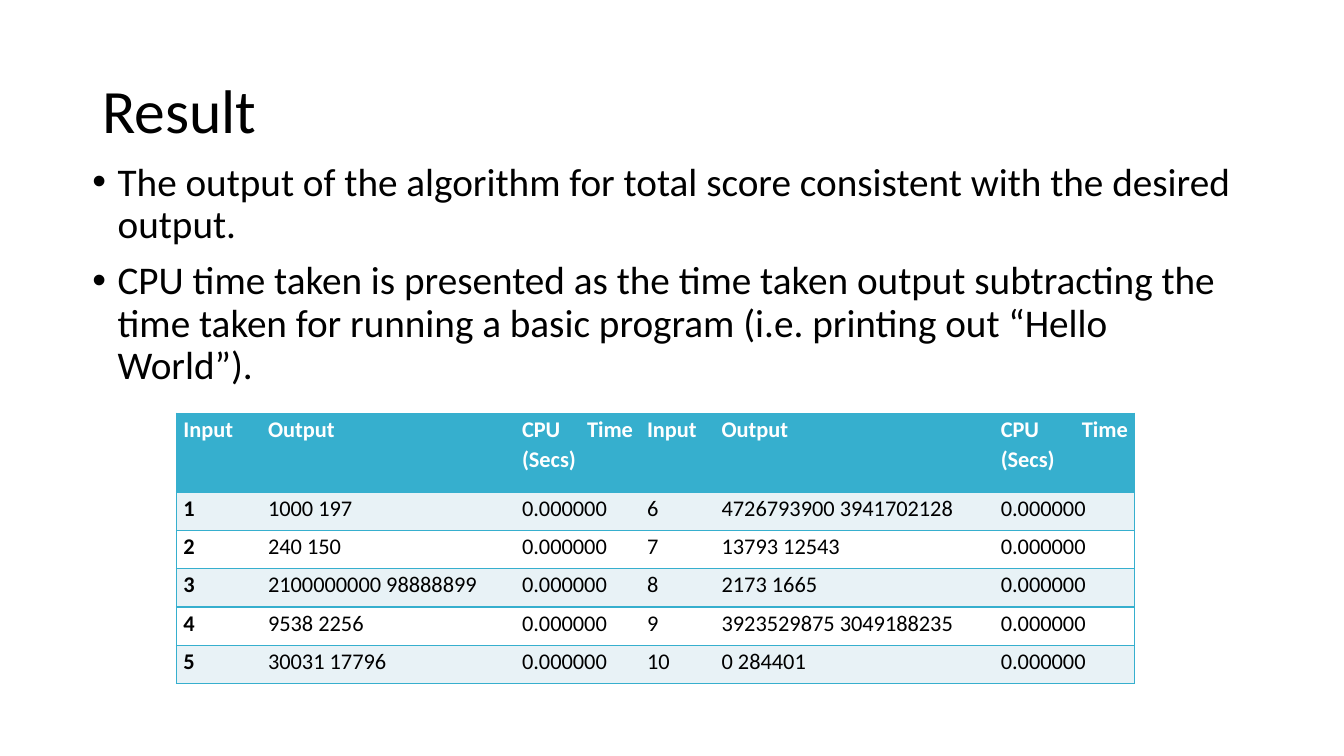
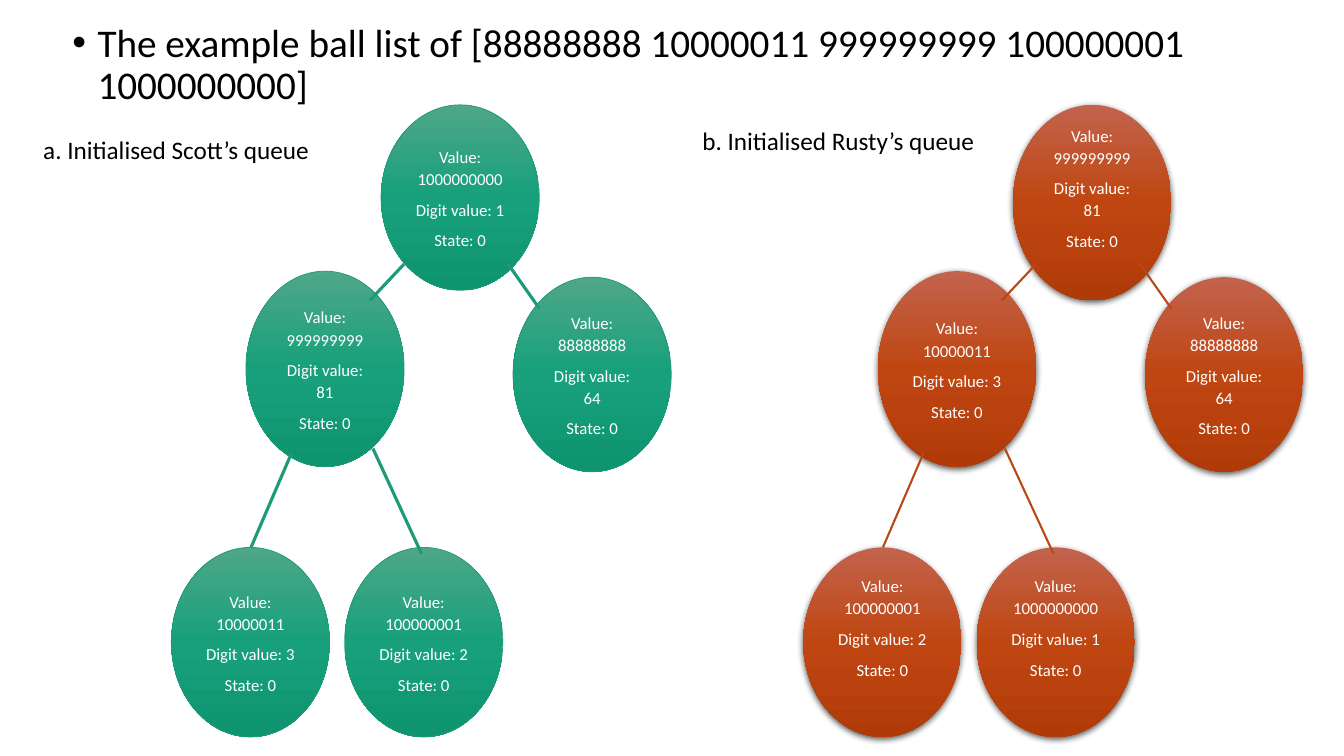
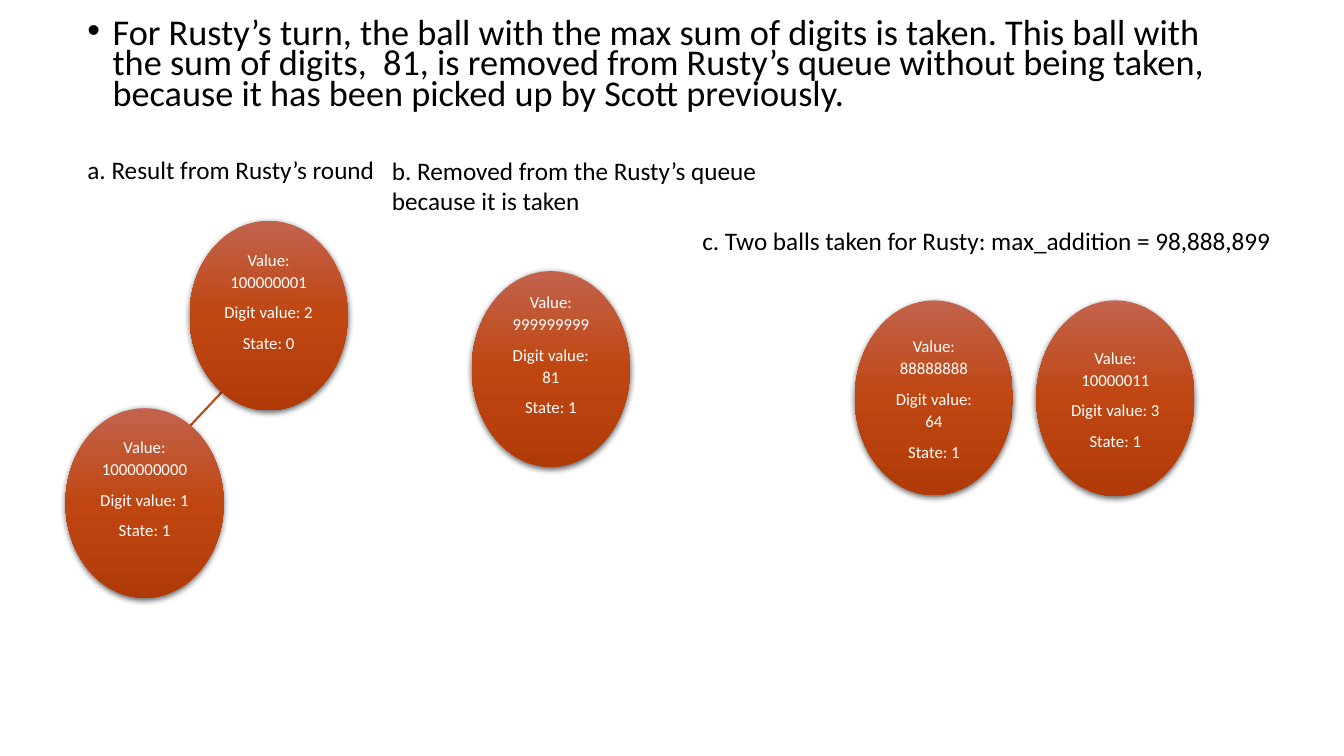
from dataclasses import dataclass, replace
from typing import Optional

import pptx
import pptx.dml.color
import pptx.enum.shapes
import pptx.enum.text
import pptx.oxml
import pptx.oxml.ns
import pptx.util

Pt = pptx.util.Pt
ALIGN = pptx.enum.text.PP_ALIGN
ANCHOR = pptx.enum.text.MSO_ANCHOR

FONT = "Calibri"
BLACK, WHITE = "000000", "FFFFFF"
TABLE_BLUE, TABLE_BAND = "36AFCE", "E8F2F6"
BALL_WIDTH = 113
RAISED_TEXT = 22  # extra bottom inset: one line with its spacing


@dataclass(frozen=True)
class TextStyle:
    size: float
    color: str = BLACK
    bold: bool = False
    align: ALIGN = ALIGN.LEFT
    line_spacing: float = 1.0
    before: float = 0
    after: float = 0
    bullet: bool = False


TITLE = TextStyle(44, line_spacing=0.9)
BODY = TextStyle(28, line_spacing=0.9, before=10, bullet=True)
TIGHT_BODY = replace(BODY, size=25.9, line_spacing=0.7)
CAPTION = TextStyle(18)
BALL_TEXT = TextStyle(12, WHITE, align=ALIGN.CENTER, line_spacing=1.1, after=6)
CELL = TextStyle(16, align=ALIGN.JUSTIFY, line_spacing=1.1)


@dataclass(frozen=True)
class Queue:
    """Look of one player's balls and the links between them."""
    gradient: tuple[str, str, str]
    link_color: str
    link_width: float
    outline: Optional[float]
    shadow: bool


SCOTT = Queue(("4EA788", "17A07B", "0F9470"), "1D9A78", 2.25, 0.5, False)
RUSTY = Queue(("C2634D", "BF4611", "B13B08"), "B74919", 1.5, None, True)


@dataclass(frozen=True)
class Ball:
    value: int
    left: float
    top: float
    height: float
    state: int = 0
    raised: bool = False

    @property
    def label(self) -> str:
        digit_sum = sum(int(digit) for digit in str(self.value))
        return f"Value: {self.value}\nDigit value: {digit_sum}\nState: {self.state}"


@dataclass(frozen=True)
class Link:
    x1: float
    y1: float
    x2: float
    y2: float


def rgb(color: str) -> pptx.dml.color.RGBColor:
    return pptx.dml.color.RGBColor.from_string(color)


def xml(tag: str, attributes: str = "", inner: str = ""):
    """Build one element of the drawing namespace."""
    namespace = pptx.oxml.ns.nsdecls("a")
    return pptx.oxml.parse_xml(f"<a:{tag} {namespace} {attributes}>{inner}</a:{tag}>")


def solid(color: str) -> str:
    return f'<a:solidFill><a:srgbClr val="{color}"/></a:solidFill>'


def write(frame, text: str, style: TextStyle) -> None:
    frame.text = text
    frame.word_wrap = True
    for paragraph in frame.paragraphs:
        paragraph.alignment = style.align
        paragraph.line_spacing = style.line_spacing
        paragraph.space_before = Pt(style.before)
        paragraph.space_after = Pt(style.after)
        if style.bullet:
            properties = paragraph._p.get_or_add_pPr()
            properties.set("marL", str(Pt(18)))
            properties.set("indent", str(Pt(-18)))
            properties.append(xml("buFont", 'typeface="Arial"'))
            properties.append(xml("buChar", 'char="•"'))
        for run in paragraph.runs:
            run.font.name = FONT
            run.font.size = Pt(style.size)
            run.font.bold = style.bold
            run.font.color.rgb = rgb(style.color)


def add_text(slide, text: str, style: TextStyle, left: float, top: float,
             width: float, height: float, anchor=ANCHOR.TOP) -> None:
    box = slide.shapes.add_textbox(Pt(left), Pt(top), Pt(width), Pt(height))
    write(box.text_frame, text, style)
    box.text_frame.vertical_anchor = anchor


def add_ball(slide, ball: Ball, queue: Queue, shift: float = 0) -> None:
    shape = slide.shapes.add_shape(
        pptx.enum.shapes.MSO_SHAPE.FLOWCHART_CONNECTOR,
        Pt(ball.left + shift), Pt(ball.top), Pt(BALL_WIDTH), Pt(ball.height))
    shape.fill.gradient()
    shape.fill.gradient_angle = 270
    properties = shape._element.spPr
    stops = properties.find(".//" + pptx.oxml.ns.qn("a:gsLst"))
    stops.clear()
    for position, color in zip((0, 50000, 100000), queue.gradient):
        stops.append(xml("gs", f'pos="{position}"', f'<a:srgbClr val="{color}"/>'))
    if queue.outline:
        shape.line.color.rgb = rgb(queue.link_color)
        shape.line.width = Pt(queue.outline)
    else:
        shape.line.fill.background()
    shape.shadow.inherit = False
    if queue.shadow:
        properties.find(pptx.oxml.ns.qn("a:effectLst")).append(xml(
            "outerShdw",
            f'blurRad="{Pt(4.5)}" dist="{Pt(1.5)}" dir="5400000" rotWithShape="0"',
            f'<a:srgbClr val="{BLACK}"><a:alpha val="63000"/></a:srgbClr>'))
    frame = shape.text_frame
    write(frame, ball.label, BALL_TEXT)
    frame.vertical_anchor = ANCHOR.MIDDLE
    if ball.raised:
        frame.margin_bottom = Pt(3.6 + RAISED_TEXT)


def add_link(slide, link: Link, queue: Queue, shift: float = 0) -> None:
    connector = slide.shapes.add_connector(
        pptx.enum.shapes.MSO_CONNECTOR.STRAIGHT,
        Pt(link.x1 + shift), Pt(link.y1), Pt(link.x2 + shift), Pt(link.y2))
    connector.line.color.rgb = rgb(queue.link_color)
    connector.line.width = Pt(queue.link_width)
    connector._element.spPr.append(xml("effectLst"))


def set_borders(cell, visible: str) -> None:
    """Draw the sides named in visible (L, R, T, B) and clear the others."""
    properties = cell._tc.get_or_add_tcPr()
    for index, side in enumerate("LRTB"):
        line = solid(TABLE_BLUE) if side in visible else "<a:noFill/>"
        properties.insert(index, xml(f"ln{side}", f'w="{Pt(1)}"', line))


def add_result_table(slide) -> None:
    header = ("Input", "Output", "CPU Time (Secs)") * 2
    outputs = ("1000 197", "240 150", "2100000000 98888899", "9538 2256",
               "30031 17796", "4726793900 3941702128", "13793 12543",
               "2173 1665", "3923529875 3049188235", "0 284401")
    cpu_time = "0.000000"
    half = len(outputs) // 2
    rows = [header] + [
        (str(i + 1), outputs[i], cpu_time,
         str(i + 1 + half), outputs[i + half], cpu_time)
        for i in range(half)]
    widths = (60.5, 181.4, 89.3, 53.3, 199.4, 100.8)
    heights = [56.2] + [27.4] * half

    table = slide.shapes.add_table(
        len(rows), len(widths), Pt(126), Pt(295.2),
        Pt(sum(widths)), Pt(sum(heights))).table
    for column, width in zip(table.columns, widths):
        column.width = Pt(width)
    for r, (values, height) in enumerate(zip(rows, heights)):
        table.rows[r].height = Pt(height)
        is_header = r == 0
        fill = TABLE_BLUE if is_header else TABLE_BAND if r % 2 else WHITE
        for c, value in enumerate(values):
            cell = table.cell(r, c)
            cell.margin_left = cell.margin_right = Pt(5)
            cell.margin_top = cell.margin_bottom = 0
            cell.fill.solid()
            cell.fill.fore_color.rgb = rgb(fill)
            write(cell.text_frame, value, replace(
                CELL, color=WHITE if is_header else BLACK,
                bold=is_header or c == 0))
            sides = "TB" + "L" * (c == 0) + "R" * (c == len(widths) - 1)
            set_borders(cell, sides)


def build_result(slide) -> None:
    add_text(slide, "Result", TITLE, 66, 28.8, 828, 104.4, ANCHOR.MIDDLE)
    add_text(
        slide,
        "The output of the algorithm for total score consistent with the desired output.\n"
        "CPU time taken is presented as the time taken output subtracting the time "
        "taken for running a basic program (i.e. printing out “Hello World”).",
        BODY, 59, 112.3, 828, 176.4)
    add_result_table(slide)


def build_initial_queues(slide) -> None:
    root, left, right = (272.2, 74.9), (175.7, 193.7), (366.5, 198)
    left_leaf, right_leaf = (122.4, 391), (246.2, 391)
    scott_balls = (
        Ball(1000000000, *root, 132.5),
        Ball(999999999, *left, 139.7),
        Ball(88888888, *right, 139),
        Ball(10000011, *left_leaf, 135.4),
        Ball(100000001, *right_leaf, 135.4))
    rusty_balls = (
        Ball(999999999, *root, 139.7, raised=True),
        Ball(10000011, *left, 139.7),
        Ball(88888888, *right, 139),
        Ball(100000001, *left_leaf, 135.4, raised=True),
        Ball(1000000000, *right_leaf, 135.4, raised=True))
    links = (
        Link(288.7, 188.6, 264.2, 214.6),
        Link(362.9, 188.6, 385.2, 220.3),
        Link(208.1, 324, 179.3, 391),
        Link(266.4, 320.4, 301, 395.3))
    for queue, balls, shift in ((SCOTT, scott_balls, 0), (RUSTY, rusty_balls, 451.4)):
        for ball in balls:
            add_ball(slide, ball, queue, shift)
        for link in links:
            add_link(slide, link, queue, shift)
    add_text(slide, "a. Initialised Scott’s queue", CAPTION, 23.8, 92.2, 321.8, 28.8)
    add_text(slide, "b. Initialised Rusty’s queue", CAPTION, 494.6, 85.7, 321.8, 28.8)
    add_text(
        slide,
        "The example ball list of [88888888 10000011 999999999 100000001 1000000000]",
        BODY, 44.6, 13, 828, 71.3)


def build_rusty_turn(slide) -> None:
    add_text(
        slide,
        "For Rusty’s turn, the ball with the max sum of digits is taken. This ball "
        "with the sum of digits,  81, is removed from Rusty’s queue without being "
        "taken, because it has been picked up by Scott previously.",
        TIGHT_BODY, 55.4, 11.5, 828, 74.9)
    add_text(slide, "a. Result from Rusty’s round", CAPTION, 55.4, 106.6, 321.8, 28.8)
    add_text(slide, "b. Removed from the Rusty’s queue\nbecause it is taken",
             CAPTION, 272.9, 107.3, 278.6, 51.1)
    add_text(slide, "c. Two balls taken for Rusty: max_addition = 98,888,899",
             CAPTION, 494.6, 157.7, 429.1, 28.8)
    add_link(slide, Link(159.8, 278.6, 135.4, 304.6), RUSTY)
    for ball in (
            Ball(999999999, 337, 193.7, 139.7, state=1, raised=True),
            Ball(10000011, 740.2, 214.6, 139.7, state=1),
            Ball(88888888, 610.6, 214.6, 139, state=1),
            Ball(100000001, 135.4, 157.7, 135.4, raised=True),
            Ball(1000000000, 46.8, 291.6, 135.4, state=1, raised=True)):
        add_ball(slide, ball, RUSTY)


def main() -> None:
    presentation = pptx.Presentation()
    presentation.slide_width = Pt(960)
    presentation.slide_height = Pt(540)
    blank = presentation.slide_layouts[6]
    for build in (build_result, build_initial_queues, build_rusty_turn):
        build(presentation.slides.add_slide(blank))
    presentation.save("out.pptx")


if __name__ == "__main__":
    main()
